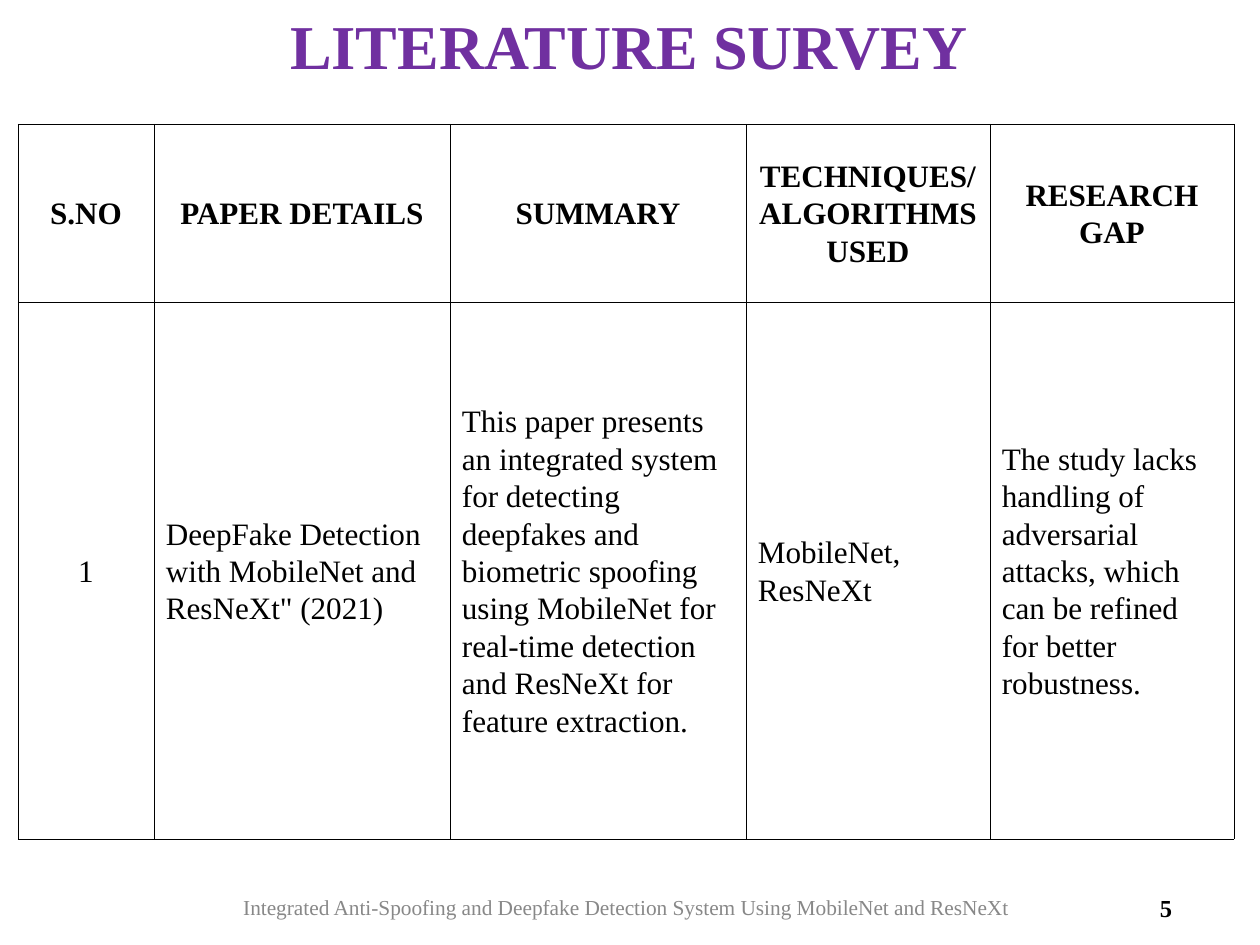
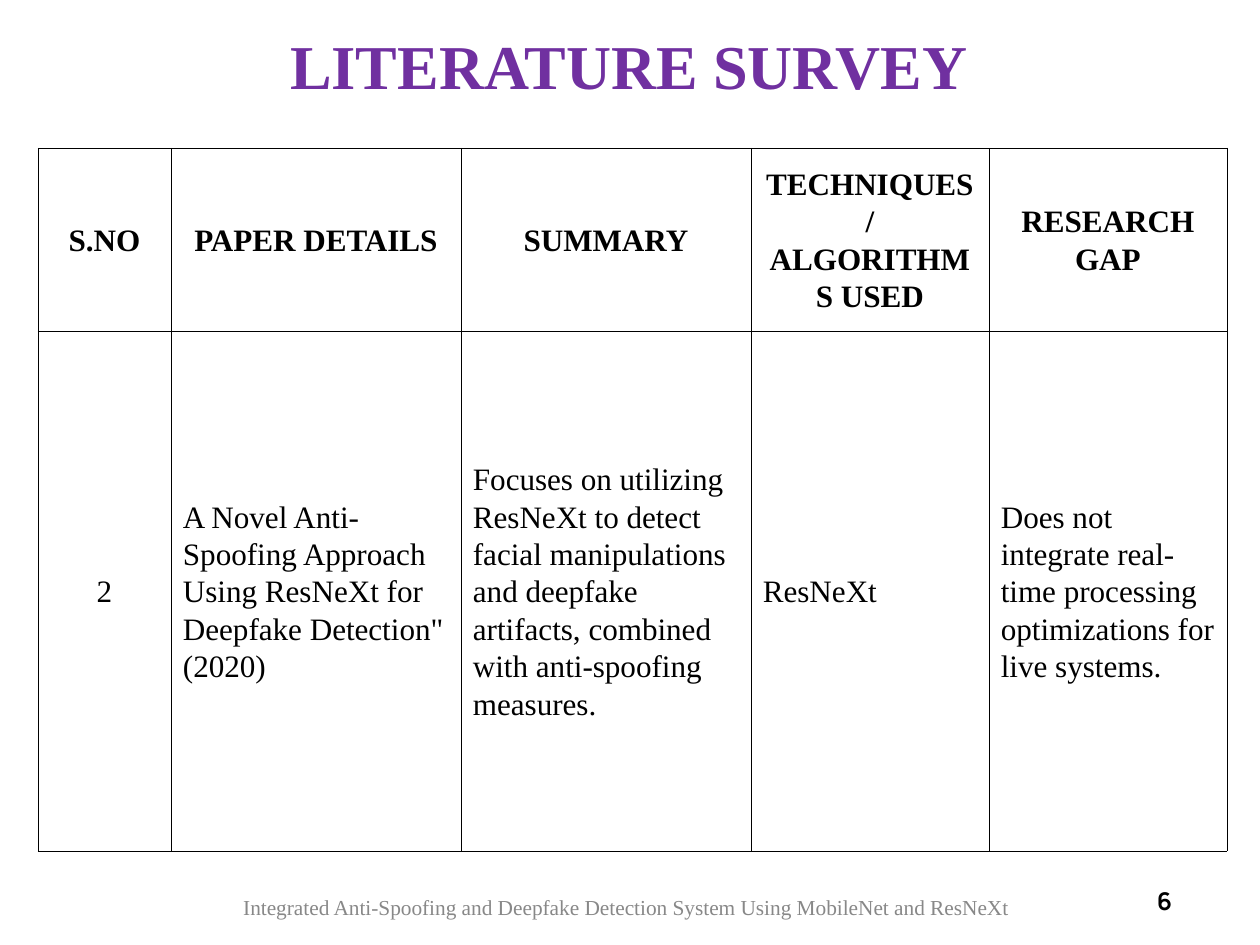
import pptx
import pptx.dml.color
import pptx.enum.text
import pptx.oxml
import pptx.oxml.ns
import pptx.util

# Content
TITLE = "LITERATURE SURVEY"
FOOTER = "Integrated Anti-Spoofing and Deepfake Detection System Using MobileNet and ResNeXt"
HEADERS = ["S.NO", "PAPER DETAILS", "SUMMARY", "TECHNIQUES/ALGORITHMS USED", "RESEARCH GAP"]
SLIDES = [
    {
        "title_top": -1,
        "number": "5", "number_font": "Times New Roman", "number_top": 881, "number_height": 53,
        "table_at": (18, 124), "cols": [136, 296, 296, 244, 244], "rows": [178, 537],
        "paper": [
            "1",
            "DeepFake Detection with MobileNet and ResNeXt\" (2021)",
            "This paper presents an integrated system for detecting deepfakes and biometric "
            "spoofing using MobileNet for real-time detection and ResNeXt for feature extraction.",
            "MobileNet, ResNeXt",
            "The study lacks handling of adversarial attacks, which can be refined "
            "for better robustness.",
        ],
    },
    {
        "title_top": 19,
        "number": "6", "number_font": "Manrope", "number_top": 875, "number_height": 51,
        "table_at": (38, 148), "cols": [133, 290, 290, 238, 238], "rows": [183, 520],
        "paper": [
            "2",
            "A Novel Anti-Spoofing Approach Using ResNeXt for Deepfake Detection\" (2020)",
            "Focuses on utilizing ResNeXt to detect facial manipulations and deepfake "
            "artifacts, combined with anti-spoofing measures.",
            "ResNeXt",
            "Does not integrate real-time processing optimizations for live systems.",
        ],
    },
]

# Shared style
EMU_PER_PX = 7743
FONT = "Times New Roman"
PURPLE, BLACK, GREY = "7030A0", "000000", "888888"
CELL_MARGIN = 12
BORDER_PT = 0.37
LEFT, CENTER, RIGHT = (pptx.enum.text.PP_ALIGN.LEFT, pptx.enum.text.PP_ALIGN.CENTER,
                       pptx.enum.text.PP_ALIGN.RIGHT)
MIDDLE = pptx.enum.text.MSO_ANCHOR.MIDDLE


def px(n):
    return pptx.util.Emu(n * EMU_PER_PX)


def rgb(value):
    return pptx.dml.color.RGBColor.from_string(value)


def write(tf, text, size, leading, color=BLACK, bold=False, align=LEFT, font=FONT):
    tf.word_wrap = True
    p = tf.paragraphs[0]
    p.alignment = align
    p.line_spacing = pptx.util.Pt(leading)
    r = p.add_run()
    r.text = text
    r.font.name = font
    r.font.size = pptx.util.Pt(size)
    r.font.bold = bold
    r.font.color.rgb = rgb(color)


def add_label(s, box, text, size, leading, **style):
    tf = s.shapes.add_textbox(*map(px, box)).text_frame
    tf.margin_left = tf.margin_top = tf.margin_right = tf.margin_bottom = 0
    tf.vertical_anchor = MIDDLE
    write(tf, text, size, leading, **style)


def add_borders(cell):
    tc_pr = cell._tc.get_or_add_tcPr()
    for side in "LRTB":
        tc_pr.append(pptx.oxml.parse_xml(
            f'<a:ln{side} {pptx.oxml.ns.nsdecls("a")} w="{pptx.util.Pt(BORDER_PT)}">'
            f'<a:solidFill><a:srgbClr val="{BLACK}"/></a:solidFill></a:ln{side}>'))


def add_survey_table(s, at, cols, rows, paper):
    box = (*at, sum(cols), sum(rows))
    table = s.shapes.add_table(len(rows), len(cols), *map(px, box)).table
    table.first_row = table.horz_banding = False
    for column, width in zip(table.columns, cols):
        column.width = px(width)
    for row, height in zip(table.rows, rows):
        row.height = px(height)
    for i, texts in enumerate([HEADERS, paper]):
        for j, text in enumerate(texts):
            cell = table.cell(i, j)
            add_borders(cell)
            cell.fill.background()
            cell.vertical_anchor = MIDDLE
            cell.margin_left = cell.margin_right = px(CELL_MARGIN)
            cell.margin_top = cell.margin_bottom = px(CELL_MARGIN)
            header = i == 0
            write(cell.text_frame, text, 19, 22.8, bold=header,
                  align=CENTER if header or j == 0 else LEFT)


def main():
    prs = pptx.Presentation()
    prs.slide_width, prs.slide_height = px(1260), px(945)
    for page in SLIDES:
        s = prs.slides.add_slide(prs.slide_layouts[6])
        # Title, page number and footer
        add_label(s, (86, page["title_top"], 1086, 98), TITLE, 38, 41,
                  color=PURPLE, bold=True, align=CENTER)
        add_label(s, (889, page["number_top"], 283, page["number_height"]), page["number"],
                  14.9, 17.9, bold=True, align=RIGHT, font=page["number_font"])
        add_label(s, (150, 881, 951, 53), FOOTER, 13, 15.6, color=GREY, align=CENTER)
        # Survey table
        add_survey_table(s, page["table_at"], page["cols"], page["rows"], page["paper"])
    prs.save("out.pptx")


if __name__ == "__main__":
    main()
